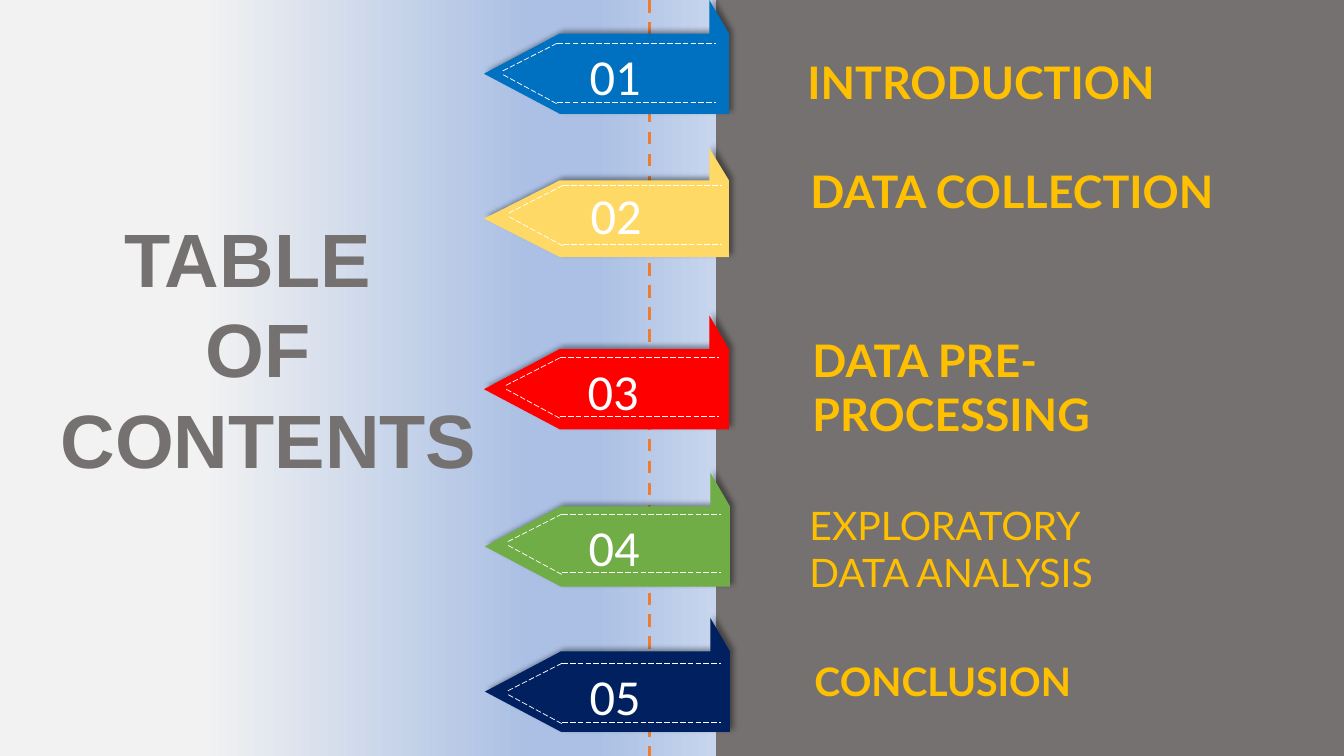
from dataclasses import dataclass
from typing import NamedTuple

from lxml import etree
from pptx import Presentation
from pptx.dml.color import RGBColor
from pptx.enum.dml import MSO_LINE
from pptx.enum.shapes import MSO_CONNECTOR, MSO_SHAPE
from pptx.enum.text import MSO_AUTO_SIZE, PP_ALIGN
from pptx.oxml import parse_xml
from pptx.oxml.ns import nsdecls, qn
from pptx.util import Inches, Pt

RECTANGLE = MSO_SHAPE.RECTANGLE
STRAIGHT = MSO_CONNECTOR.STRAIGHT
DASH, LONG_DASH = MSO_LINE.DASH, MSO_LINE.LONG_DASH
CENTER, LEFT = PP_ALIGN.CENTER, PP_ALIGN.LEFT
FIT_SHAPE = MSO_AUTO_SIZE.SHAPE_TO_FIT_TEXT
CELL = Inches(0.1)


@dataclass(frozen=True)
class Theme:
    gray: str = "767171"
    gold: str = "FFC000"
    white: str = "FFFFFF"
    orange: str = "ED7D31"
    shadow: str = "000000"
    fade: tuple = ((28, "F2F2F2"), (74, "ABC0E4"), (83, "ABC0E4"), (100, "C7D5ED"))
    title_font: str = "Arial"
    number_font: str = "Calibri"
    heading_font: str = "Lato"
    title_size: int = 54
    number_size: int = 36
    heading_size: int = 32
    small_size: int = 28
    spine_width: float = 2.25
    stitch_width: float = 0.5
    outline_width: float = 1.75


class Box(NamedTuple):
    left: float
    top: float
    width: float
    height: float

    def point(self, across, down):
        return self.left + across * self.width, self.top + down * self.height


class Entry(NamedTuple):
    color: str
    tag: Box
    stitch: tuple
    number: tuple
    heading: str
    heading_box: Box
    size: int
    bold: bool = True


THEME = Theme()
ENTRIES = (
    Entry("0070C0", Box(48, 0, 24.3, 11.3), (49.7, 4.3), (57.5, 4),
          "INTRODUCTION", Box(79.1, 4.9, 46, 6.4), THEME.heading_size),
    Entry("FFD966", Box(48, 14.7, 24.3, 10.8), (50.3, 18.4), (57.6, 17.8),
          "DATA COLLECTION", Box(79.4, 15.7, 44.1, 11.8), THEME.heading_size),
    Entry("FF0000", Box(48, 31.3, 24.3, 11.3), (50, 35.5), (57.3, 35.2),
          "DATA PRE-PROCESSING", Box(79.6, 32.5, 40.1, 11.8), THEME.heading_size),
    Entry("70AD47", Box(48.1, 46.9, 24.3, 11.3), (50.2, 51), (57.4, 50.7),
          "EXPLORATORY DATA ANALYSIS", Box(79.3, 49.2, 38.2, 10.4), THEME.small_size, False),
    Entry("002060", Box(48.1, 61.3, 24.3, 11.3), (50.2, 65.8), (57.5, 65.5),
          "CONCLUSION", Box(79.8, 64.7, 34.3, 5.7), THEME.small_size),
)


def cells(*values):
    return [round(value * CELL) for value in values]


def color_of(value):
    return RGBColor.from_string(value)


def cast_shadow(shape, distance, angle):
    shape.shadow.inherit = False
    effects = shape._element.spPr.find(qn("a:effectLst"))
    effects.append(parse_xml(
        f'<a:outerShdw {nsdecls("a")} blurRad="{Pt(4)}" dist="{Pt(distance)}" '
        f'dir="{angle * 60000}" rotWithShape="0"><a:srgbClr val="{THEME.shadow}">'
        '<a:alpha val="40000"/></a:srgbClr></a:outerShdw>'))


def add_line(page, start, end, color, width, dash):
    line = page.shapes.add_connector(STRAIGHT, *cells(*start, *end))
    line.line.color.rgb = color_of(color)
    line.line.width = Pt(width)
    line.line.dash_style = dash
    etree.SubElement(line._element.spPr, qn("a:effectLst"))


def add_text(page, box, lines, font, size, color, bold=False, align=LEFT, wrap=True):
    frame = page.shapes.add_textbox(*cells(*box)).text_frame
    frame.word_wrap = wrap
    frame.auto_size = FIT_SHAPE
    frame.text = "\n".join(lines)
    for para in frame.paragraphs:
        para.alignment = align
        para.font.name = font
        para.font.size = Pt(size)
        para.font.bold = bold
        para.font.color.rgb = color_of(color)
    return frame


def add_panel(page, box):
    panel = page.shapes.add_shape(RECTANGLE, *cells(*box))
    panel.rotation = 270
    panel.line.fill.background()
    panel.fill.gradient()
    panel.fill.gradient_angle = 270
    stops = panel._element.spPr.find(qn("a:gradFill")).find(qn("a:gsLst"))
    for stop in list(stops):
        stops.remove(stop)
    for position, color in THEME.fade:
        stops.append(parse_xml(f'<a:gs {nsdecls("a")} pos="{position * 1000}">'
                               f'<a:srgbClr val="{color}"/></a:gs>'))
    cast_shadow(panel, 13, 135)


def add_title(page, box):
    frame = add_text(page, box, ("TABLE ", "OF", " CONTENTS"), THEME.title_font,
                     THEME.title_size, THEME.gray, True, CENTER, False)
    for para in frame.paragraphs:
        for span in para.runs:
            span._r.get_or_add_rPr().insert(0, parse_xml(
                f'<a:ln {nsdecls("a")} w="{Pt(THEME.outline_width)}"><a:solidFill>'
                f'<a:srgbClr val="{THEME.orange}"/></a:solidFill></a:ln>'))


def add_tag(page, box, color):
    fold, shoulder, crease = 0.295, 0.31, 0.92
    middle = (1 + fold) / 2
    body = [(1, fold), (shoulder, fold), (0, middle), (shoulder, 1), (1, 1)]
    corner = [(crease, 0), (crease, fold), (1, fold)]
    body, corner = [[cells(*box.point(*spot)) for spot in outline] for outline in (body, corner)]
    builder = page.shapes.build_freeform(*body[0])
    builder.add_line_segments(body[1:], close=True)
    builder.move_to(*corner[0])
    builder.add_line_segments(corner[1:], close=True)
    tag = builder.convert_to_shape()
    tag.fill.solid()
    tag.fill.fore_color.rgb = color_of(color)
    tag.line.fill.background()
    cast_shadow(tag, 3, 315)


def add_stitching(page, box):
    bend = 0.26
    for start, end in (((bend, 0), (1, 0)), ((bend, 0.97), (1, 0.97)),
                       ((bend, 0), (0, 0.47)), ((0.01, 0.52), (bend, 1))):
        add_line(page, box.point(*start), box.point(*end),
                 THEME.white, THEME.stitch_width, LONG_DASH)


def add_entry(page, position, entry):
    add_tag(page, entry.tag, entry.color)
    add_stitching(page, Box(*entry.stitch, 21.3, 6))
    add_text(page, Box(*entry.number, 12.2, 7.1), [f"{position:02}"],
             THEME.number_font, THEME.number_size, THEME.white)
    add_text(page, entry.heading_box, [entry.heading],
             THEME.heading_font, entry.size, THEME.gold, entry.bold)


def add_contents_page(deck):
    page = deck.slides.add_slide(deck.slide_layouts[6])
    page.background.fill.solid()
    page.background.fill.fore_color.rgb = color_of(THEME.gray)
    add_panel(page, Box(-2, 2, 75, 71))
    add_title(page, Box(0.7, 20.5, 49.8, 28.3))
    add_line(page, (64.4, 0), (64.4, 75), THEME.orange, THEME.spine_width, DASH)
    for position, entry in enumerate(ENTRIES, 1):
        add_entry(page, position, entry)


def main():
    deck = Presentation()
    deck.slide_width, deck.slide_height = Inches(13.33), Inches(7.5)
    add_contents_page(deck)
    deck.save("out.pptx")


if __name__ == "__main__":
    main()
